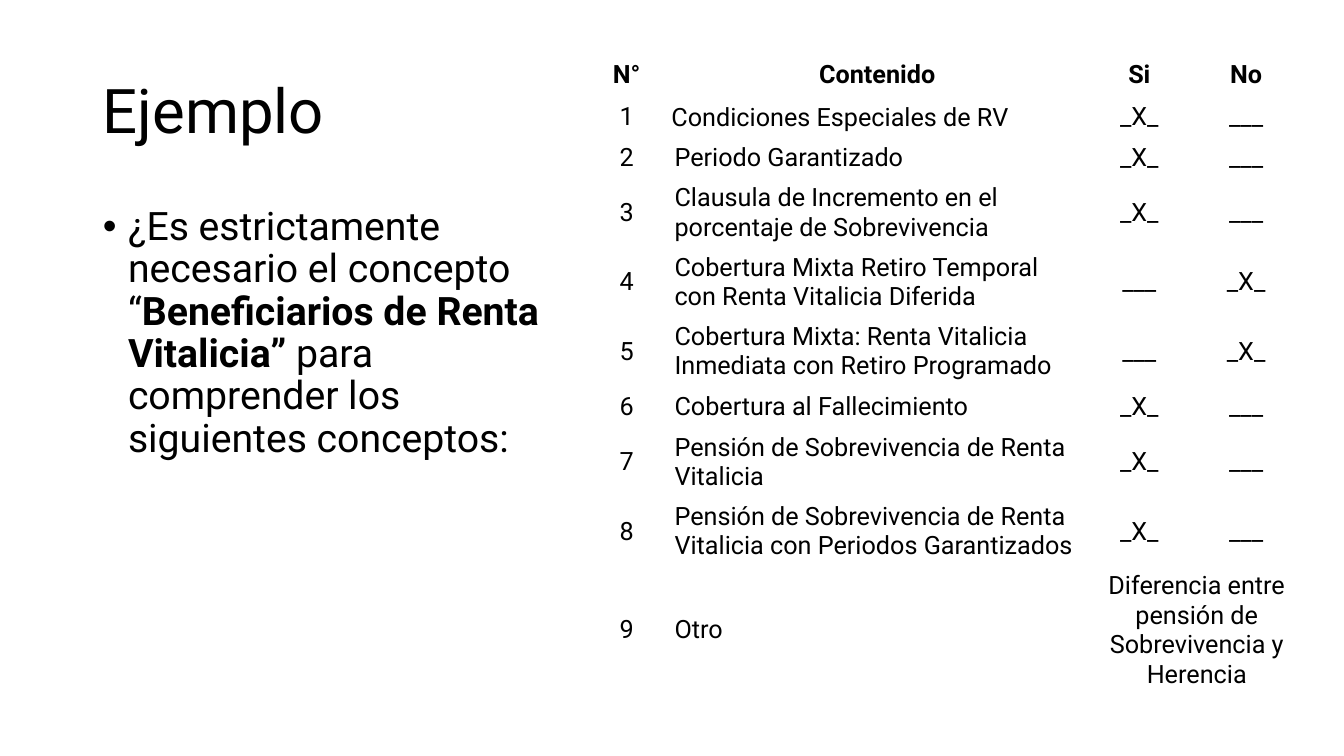
from dataclasses import dataclass

from pptx import Presentation
from pptx import util as u
from pptx.dml.color import RGBColor
from pptx.enum import text

BLACK = RGBColor(0x00, 0x00, 0x00)
WHITE = RGBColor(0xFF, 0xFF, 0xFF)
FONT = "Roboto"
PAGE_WIDTH, PAGE_HEIGHT = u.Inches(13.33), u.Inches(7.5)
COLUMN_SHARES = (5.63, 31.66, 7.35, 8.55)
ROW_SHARE = 5.47
YES, BLANK = "_X_", "___"


@dataclass(frozen=True)
class Area:
    left: float
    top: float
    width: float
    height: float


@dataclass(frozen=True)
class Concept:
    name: str
    needed: bool


TITLE_AREA = Area(6.9, 5.33, 86.25, 19.33)
BODY_AREA = Area(6.9, 26.67, 36.9, 63.47)
TABLE_AREA = Area(43.81, 7.2, 53.26, 85.6)
HEADINGS = ("N°", "Contenido", "Si", "No")
CONCEPTS = (
    Concept("Condiciones Especiales de RV", True),
    Concept("Periodo Garantizado", True),
    Concept("Clausula de Incremento en el porcentaje de Sobrevivencia", True),
    Concept("Cobertura Mixta Retiro Temporal con Renta Vitalicia Diferida", False),
    Concept("Cobertura Mixta: Renta Vitalicia Inmediata con Retiro Programado", False),
    Concept("Cobertura al Fallecimiento", True),
    Concept("Pensión de Sobrevivencia de Renta Vitalicia", True),
    Concept("Pensión de Sobrevivencia de Renta Vitalicia con Periodos Garantizados", True),
)
OTHER = "Diferencia entre pensión de Sobrevivencia y Herencia"
QUESTION = (
    ("¿Es estrictamente necesario el concepto “", False),
    ("Beneficiarios de Renta Vitalicia”", True),
    (" para comprender los siguientes conceptos:", False),
)


def across(share: float) -> int:
    return round(PAGE_WIDTH * share / 100)


def down(share: float) -> int:
    return round(PAGE_HEIGHT * share / 100)


def place(box, area: Area) -> None:
    box.left, box.top = across(area.left), down(area.top)
    box.width, box.height = across(area.width), down(area.height)


def style(para, size: int, align=text.PP_ALIGN.LEFT) -> None:
    para.alignment = align
    para.font.name = FONT
    para.font.size = u.Pt(size)
    para.font.color.rgb = BLACK


def write_title(page) -> None:
    title = page.shapes.title
    place(title, TITLE_AREA)
    title.text_frame.text = "Ejemplo"
    title.text_frame.auto_size = text.MSO_AUTO_SIZE.NONE
    title.text_frame.vertical_anchor = text.MSO_ANCHOR.MIDDLE
    para = title.text_frame.paragraphs[0]
    style(para, 44)
    para.line_spacing = 0.9


def write_question(page) -> None:
    body = page.placeholders[1]
    place(body, BODY_AREA)
    body.text_frame.auto_size = text.MSO_AUTO_SIZE.NONE
    para = body.text_frame.paragraphs[0]
    for words, bold in QUESTION:
        span = para.add_run()
        span.text = words
        span.font.bold = bold
    style(para, 28)
    para.line_spacing = 0.9
    para.space_before = u.Pt(10)
    properties = para._p.get_or_add_pPr()
    properties.set("marL", str(u.Inches(0.25)))
    properties.set("indent", str(u.Inches(-0.25)))


def table_rows() -> list[tuple[str, ...]]:
    rows = [HEADINGS]
    for number, concept in enumerate(CONCEPTS, 1):
        marks = (YES, BLANK) if concept.needed else (BLANK, YES)
        rows.append((str(number), concept.name, *marks))
    rows.append((str(len(CONCEPTS) + 1), "Otro", OTHER, ""))
    return rows


def draw_table(page) -> None:
    rows = table_rows()
    frame = page.shapes.add_table(
        len(rows), len(HEADINGS), across(TABLE_AREA.left), down(TABLE_AREA.top),
        across(TABLE_AREA.width), down(TABLE_AREA.height))
    table = frame.table
    table.first_row = table.horz_banding = False
    for column, share in zip(table.columns, COLUMN_SHARES):
        column.width = across(share)
    for row in table.rows:
        row.height = down(ROW_SHARE)
    for row_index, values in enumerate(rows):
        for column_index, value in enumerate(values):
            cell = table.cell(row_index, column_index)
            cell.text = value
            cell.fill.background()
            cell.vertical_anchor = text.MSO_ANCHOR.MIDDLE
            para = cell.text_frame.paragraphs[0]
            is_name = row_index > 0 and column_index == 1
            style(para, 18, text.PP_ALIGN.LEFT if is_name else text.PP_ALIGN.CENTER)
            para.font.bold = row_index == 0
    last = len(rows) - 1
    table.cell(last, 2).merge(table.cell(last, 3))
    first_name = table.cell(1, 1)
    first_name.margin_left = first_name.margin_right = u.Inches(0.07)
    first_name.margin_top = first_name.margin_bottom = u.Inches(0.04)
    para = first_name.text_frame.paragraphs[0]
    para.line_spacing = 1.07
    para.space_after = u.Pt(8)
    frame.height = down(TABLE_AREA.height)


def main() -> None:
    deck = Presentation()
    deck.slide_width, deck.slide_height = PAGE_WIDTH, PAGE_HEIGHT
    page = deck.slides.add_slide(deck.slide_layouts[1])
    page.background.fill.solid()
    page.background.fill.fore_color.rgb = WHITE
    write_title(page)
    write_question(page)
    draw_table(page)
    deck.save("out.pptx")


if __name__ == "__main__":
    main()
